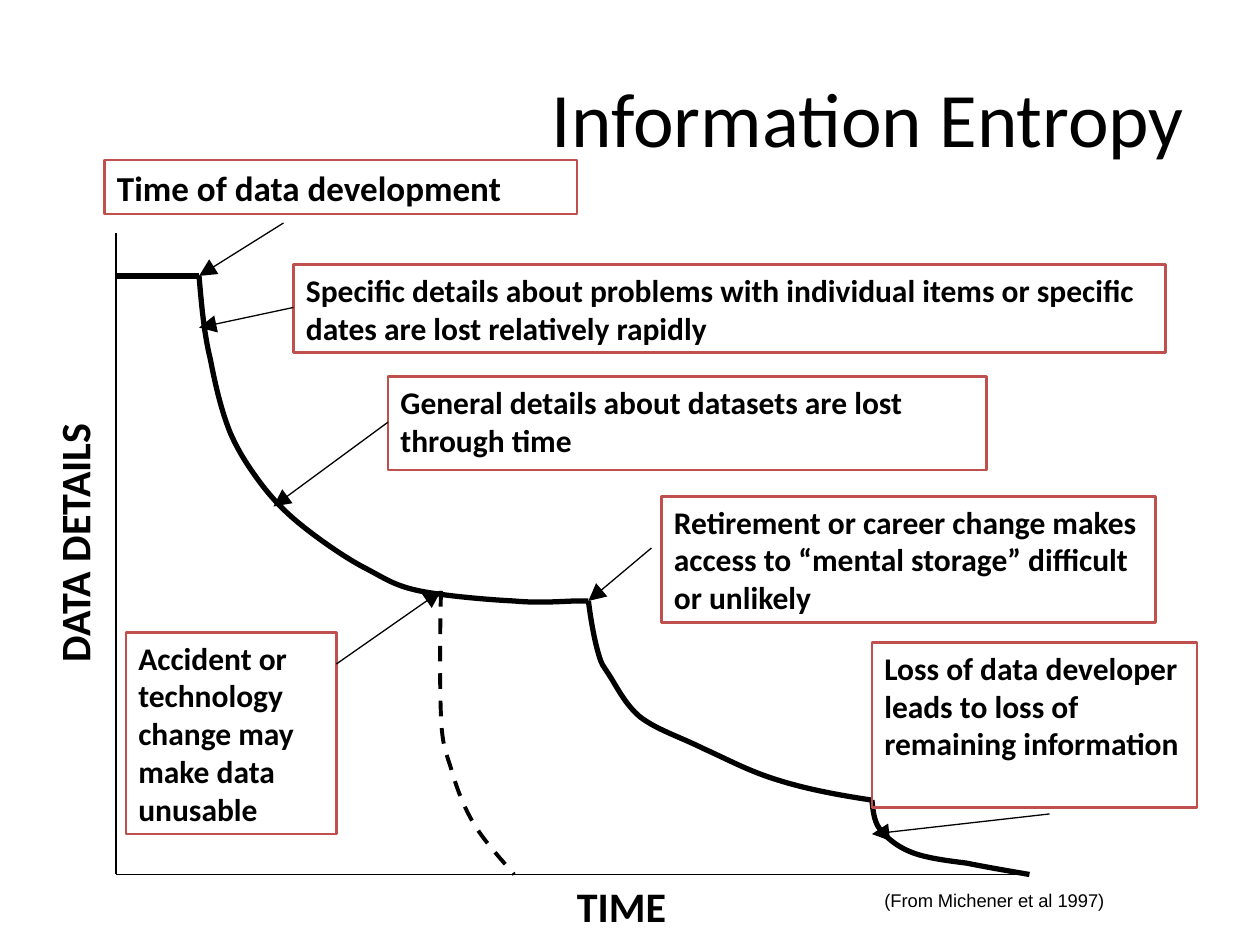
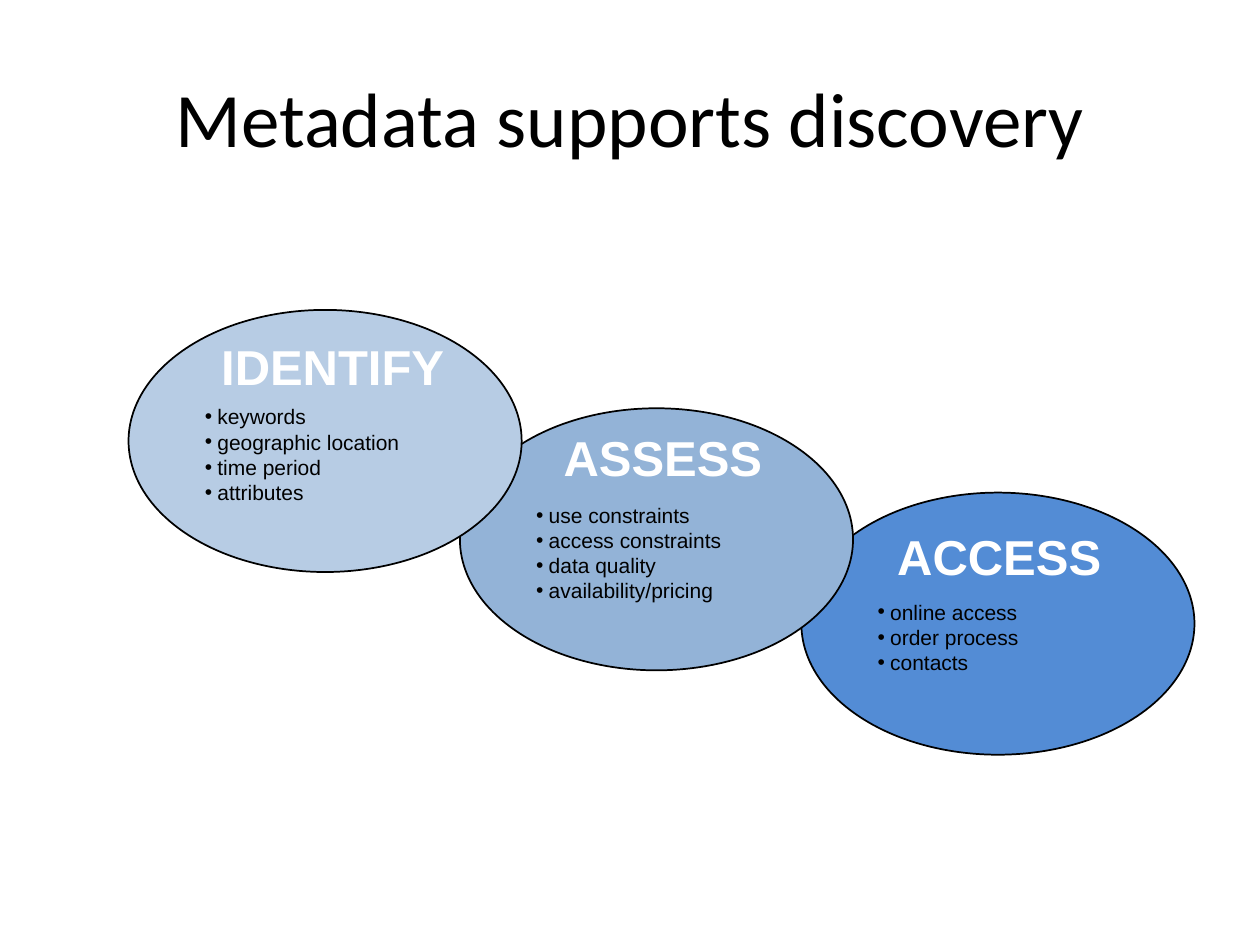
import dataclasses
import itertools

import lxml.etree
import pptx
import pptx.dml.color
import pptx.enum.dml
import pptx.enum.shapes
import pptx.enum.text
import pptx.oxml.ns
import pptx.util

Inches = pptx.util.Inches
Align = pptx.enum.text.PP_ALIGN
Anchor = pptx.enum.text.MSO_ANCHOR
Preset = pptx.enum.shapes.MSO_SHAPE


@dataclasses.dataclass(frozen=True)
class Theme:
    ink: str = "000000"
    paper: str = "FFFFFF"
    callout_line: str = "C0504D"
    identify: str = "B7CCE4"
    assess: str = "93B3D7"
    access: str = "538CD5"
    heading_font: str = "Calibri"
    body_font: str = "Arial"
    title_size: float = 44
    stage_size: float = 28
    axis_size: float = 24
    lead_callout_size: float = 20
    callout_size: float = 18
    bullet_size: float = 12
    source_size: float = 10.5
    thin: float = 0.75
    outline: float = 1
    callout_width: float = 1.5
    dashed: float = 2.25
    thick: float = 3


THEME = Theme()

AXIS_X, AXIS_Y = 0.92, 6.94
DEVELOPMENT = (1.58, 2.19)
ACCIDENT = (3.5, 4.69)
RETIREMENT = (4.67, 4.77)
DEVELOPER_LOSS = (6.92, 6.35)
CURVE_END = (8.17, AXIS_Y)

DETAIL_CURVES = [
    (DEVELOPMENT, [
        ((1.6, 2.42), (1.62, 2.65), (1.67, 2.85)),
        ((1.71, 3.06), (1.76, 3.27), (1.83, 3.44)),
        ((1.9, 3.6), (1.99, 3.73), (2.08, 3.85)),
        ((2.18, 3.98), (2.28, 4.08), (2.42, 4.19)),
        ((2.56, 4.3), (2.76, 4.44), (2.92, 4.52)),
        ((3.07, 4.6), (3.14, 4.65), (3.33, 4.69)),
        ((3.53, 4.73), (3.87, 4.76), (4.08, 4.77)),
        ((4.29, 4.79), (4.49, 4.77), (4.58, 4.77)),
        ((4.68, 4.77), RETIREMENT, RETIREMENT),
    ]),
    (RETIREMENT, [
        ((4.69, 4.93), (4.72, 5.09), (4.75, 5.19)),
        ((4.78, 5.29), (4.78, 5.27), (4.83, 5.35)),
        ((4.89, 5.44), (4.96, 5.59), (5.08, 5.69)),
        ((5.21, 5.79), (5.4, 5.85), (5.58, 5.94)),
        ((5.76, 6.02), (5.94, 6.12), (6.17, 6.19)),
        ((6.39, 6.26), (6.65, 6.31), DEVELOPER_LOSS),
    ]),
    (DEVELOPER_LOSS, [
        ((6.93, 6.45), (6.94, 6.54), (7, 6.6)),
        ((7.06, 6.67), (7.14, 6.73), (7.25, 6.77)),
        ((7.36, 6.81), (7.51, 6.83), (7.67, 6.85)),
        ((7.82, 6.88), (7.99, 6.91), CURVE_END),
    ]),
]

ACCIDENT_CURVE = [
    ((3.49, 5.07), (3.49, 5.45), (3.5, 5.69)),
    ((3.51, 5.92), (3.54, 5.97), (3.58, 6.1)),
    ((3.62, 6.24), (3.67, 6.38), (3.75, 6.52)),
    ((3.83, 6.66), (3.96, 6.8), (4.08, AXIS_Y)),
]

CALLOUTS = [
    ("Time of data development", (0.83, 1.27, 3.75, 0.43),
     THEME.lead_callout_size, (2.25, 1.77), DEVELOPMENT),
    ("Specific details about problems with individual items or specific dates are lost relatively rapidly",
     (2.33, 2.1, 6.92, 0.7), THEME.callout_size, (2.33, 2.44), (1.58, 2.6)),
    ("General details about datasets are lost through time",
     (3.08, 2.99, 4.75, 0.74), THEME.callout_size, (3.08, 3.35), (2.17, 4.02)),
    ("Accident or technology change may make data unusable",
     (1, 5.02, 1.67, 1.6), THEME.callout_size, (2.67, 5.27), ACCIDENT),
    ("Retirement or career change makes access to “mental storage” difficult or unlikely",
     (5.25, 3.94, 3.92, 1), THEME.callout_size, (5.17, 4.35), RETIREMENT),
    ("Loss of data developer leads to loss of remaining information",
     (6.92, 5.1, 2.58, 1.31), THEME.callout_size, (8.33, 6.46), (6.92, 6.62)),
]

STAGE_SIZE = (3.12, 2.08)
STAGE_LABEL_SIZE = (2.08, 0.52)
STAGES = [
    ("ACCESS", THEME.access, (6.36, 3.91), (6.89, 4.13),
     ["online access", "order process", "contacts"]),
    ("ASSESS", THEME.assess, (3.65, 3.24), (4.22, 3.34),
     ["use constraints", "access constraints", "data quality", "availability/pricing"]),
    ("IDENTIFY", THEME.identify, (1.02, 2.46), (1.6, 2.62),
     ["keywords", "geographic location", "time period", "attributes"]),
]


def rgb(value):
    return pptx.dml.color.RGBColor.from_string(value)


def inches(values):
    return [Inches(value) for value in values]


def add_xml(parent, tag, **attributes):
    element = lxml.etree.SubElement(parent, pptx.oxml.ns.qn(tag))
    for name, value in attributes.items():
        element.set(name, value)
    return element


def set_line(shape, color, width):
    shape.line.color.rgb = rgb(color)
    shape.line.width = pptx.util.Pt(width)


def write(para, text, size, font, color=THEME.ink, bold=False, align=Align.LEFT):
    para.alignment = align
    span = para.add_run()
    span.text = text
    span.font.size = pptx.util.Pt(size)
    span.font.name = font
    span.font.bold = bold
    span.font.color.rgb = rgb(color)


def add_text(shapes, place, text, size, font=THEME.heading_font, anchor=Anchor.TOP, **style):
    box = shapes.add_textbox(*inches(place))
    box.text_frame.word_wrap = True
    box.text_frame.vertical_anchor = anchor
    write(box.text_frame.paragraphs[0], text, size, font, **style)
    return box


def add_title(page, text, align):
    add_text(page.shapes, (0.5, 0.3, 9, 1.25), text, THEME.title_size,
             anchor=Anchor.MIDDLE, align=align)


def add_outlined(shapes, preset, place, color, width, anchor):
    shape = shapes.add_shape(preset, *inches(place))
    shape.shadow.inherit = False
    set_line(shape, color, width)
    shape.text_frame.word_wrap = True
    shape.text_frame.vertical_anchor = anchor
    return shape


def add_line(page, start, end, width=THEME.thin, arrow=False):
    connector = page.shapes.add_connector(
        pptx.enum.shapes.MSO_CONNECTOR.STRAIGHT, *inches(start + end))
    set_line(connector, THEME.ink, width)
    if arrow:
        outline = connector._element.spPr.find(pptx.oxml.ns.qn("a:ln"))
        add_xml(outline, "a:tailEnd", type="triangle", w="lg", len="lg")
    add_xml(connector._element.spPr, "a:effectLst")


def bend_segments(curve):
    corners = list(curve._element.iter(pptx.oxml.ns.qn("a:lnTo")))
    outline = corners[0].getparent()
    for first in range(0, len(corners), 3):
        bend = add_xml(outline, "a:cubicBezTo")
        for corner in corners[first:first + 3]:
            bend.append(corner[0])
            outline.remove(corner)


def add_curve(page, start, segments, width):
    builder = page.shapes.build_freeform(*inches(start))
    controls = itertools.chain.from_iterable(segments)
    builder.add_line_segments([inches(point) for point in controls], close=False)
    curve = builder.convert_to_shape()
    bend_segments(curve)
    curve.shadow.inherit = False
    curve.fill.background()
    set_line(curve, THEME.ink, width)
    return curve


def add_callout(page, text, place, size):
    box = add_outlined(page.shapes, Preset.RECTANGLE, place, THEME.callout_line,
                       THEME.callout_width, Anchor.TOP)
    box.fill.background()
    write(box.text_frame.paragraphs[0], text, size, THEME.heading_font, bold=True)


def add_bullet(para, text):
    properties = para._p.get_or_add_pPr()
    properties.set("marL", str(Inches(0.15)))
    properties.set("indent", str(-Inches(0.1)))
    add_xml(add_xml(properties, "a:buClr"), "a:srgbClr", val=THEME.ink)
    add_xml(properties, "a:buFont", typeface=THEME.body_font)
    add_xml(properties, "a:buChar", char="•")
    write(para, text, THEME.bullet_size, THEME.body_font)


def add_stage(page, name, color, corner, label_corner, items):
    shapes = page.shapes.add_group_shape().shapes
    oval = add_outlined(shapes, Preset.OVAL, corner + STAGE_SIZE, THEME.ink,
                        THEME.outline, Anchor.MIDDLE)
    oval.fill.solid()
    oval.fill.fore_color.rgb = rgb(color)
    frame = oval.text_frame
    frame.margin_top = Inches(0.26)
    for index, item in enumerate(items):
        add_bullet(frame.add_paragraph() if index else frame.paragraphs[0], item)
    add_text(shapes, label_corner + STAGE_LABEL_SIZE, name, THEME.stage_size,
             THEME.body_font, color=THEME.paper, bold=True, align=Align.CENTER)


def build_entropy(page):
    add_title(page, "Information Entropy", Align.RIGHT)
    label = add_text(page.shapes, (-0.75, 3.77, 2.67, 0.5), "DATA DETAILS",
                     THEME.axis_size, bold=True)
    label.rotation = 270
    origin = (AXIS_X, AXIS_Y)
    add_line(page, (AXIS_X, 1.85), origin)
    add_line(page, origin, CURVE_END)
    add_line(page, (AXIS_X, DEVELOPMENT[1]), DEVELOPMENT, THEME.thick)
    for start, segments in DETAIL_CURVES:
        add_curve(page, start, segments, THEME.thick)
    accident = add_curve(page, ACCIDENT, ACCIDENT_CURVE, THEME.dashed)
    accident.line.dash_style = pptx.enum.dml.MSO_LINE.DASH
    for text, place, size, _, _ in CALLOUTS:
        add_callout(page, text, place, size)
    for _, _, _, start, end in CALLOUTS:
        add_line(page, start, end, arrow=True)
    add_text(page.shapes, (4.48, AXIS_Y, 1.67, 0.5), "TIME", THEME.axis_size, bold=True)
    add_text(page.shapes, (6.92, 7.01, 2.25, 0.29), "(From Michener et al 1997)",
             THEME.source_size, THEME.body_font)


def build_discovery(page):
    add_title(page, "Metadata supports discovery", Align.CENTER)
    for stage in STAGES:
        add_stage(page, *stage)


def main():
    deck = pptx.Presentation()
    deck.slide_width, deck.slide_height = inches((10, 7.5))
    for build in (build_entropy, build_discovery):
        page = deck.slides.add_slide(deck.slide_layouts[6])
        page.background.fill.solid()
        page.background.fill.fore_color.rgb = rgb(THEME.paper)
        build(page)
    deck.save("out.pptx")


if __name__ == "__main__":
    main()
